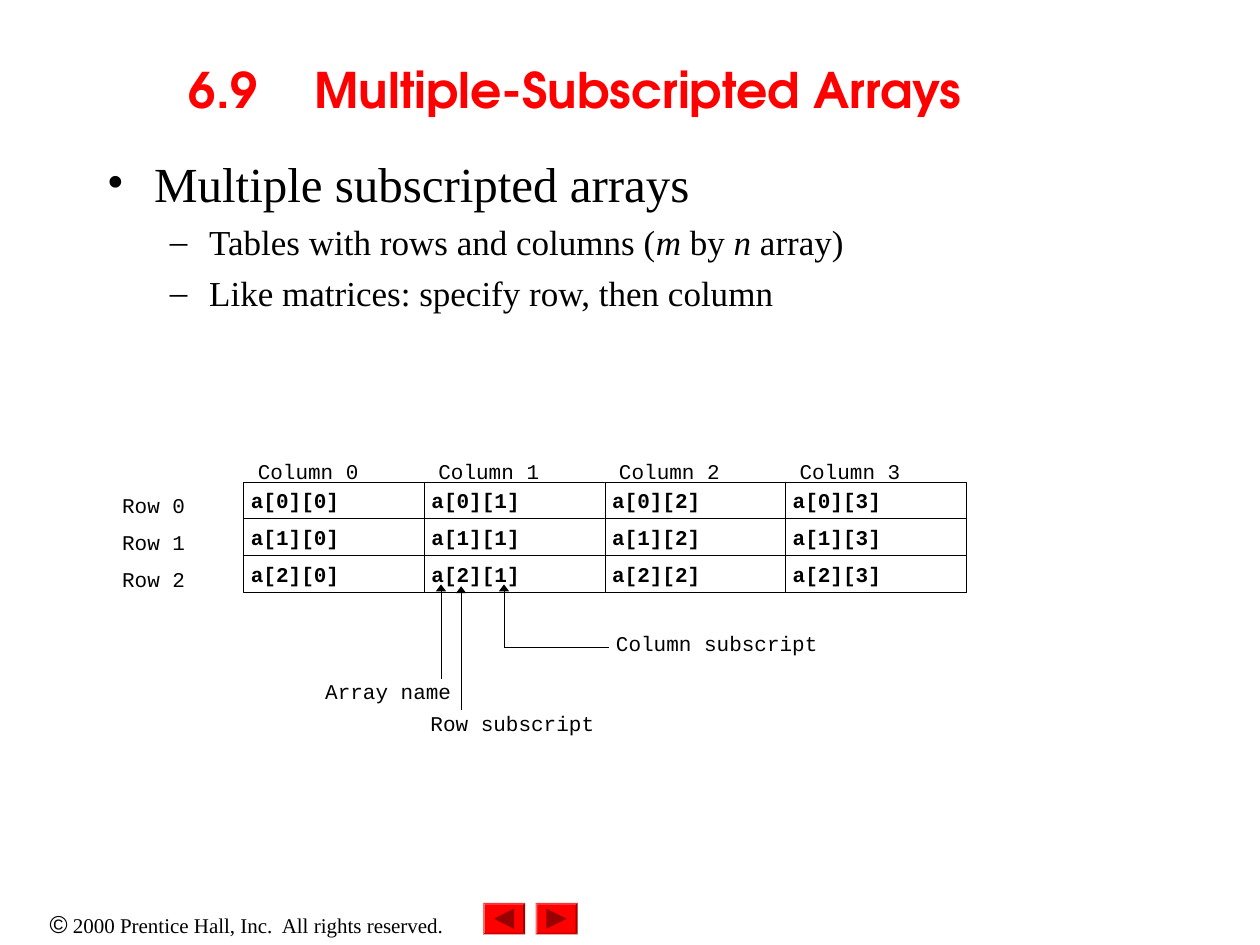
"""Build the slide on multiple-subscripted arrays."""
from lxml import etree
from pptx import Presentation
from pptx.dml.color import RGBColor
from pptx.enum import shapes, text
from pptx.oxml import ns
from pptx.util import Pt

BLACK, WHITE, RED, DARK_RED = "000000", "FFFFFF", "FF0000", "990000"
SERIF, MONO = "Times New Roman", "Courier New"
ROWS, COLS = 3, 4
LEFT, TOP, CELL_W, CELL_H = 139.2, 275.3, 103.2, 21.1


def rgb(value):
    return RGBColor.from_string(value)


def child(parent, tag, **attrs):
    return etree.SubElement(parent, ns.qn(tag), attrs)


def set_font(font, name, size, color=BLACK, bold=False):
    font.name, font.size, font.bold = name, Pt(size), bold
    font.color.rgb = rgb(color)


def add_box(s, x, y, w, h, inset=(0, 0)):
    tf = s.shapes.add_textbox(Pt(x), Pt(y), Pt(w), Pt(h)).text_frame
    tf.word_wrap = True
    tf.margin_left = tf.margin_right = Pt(inset[0])
    tf.margin_top = tf.margin_bottom = Pt(inset[1])
    return tf


def add_label(s, wording, x, y, w, h=14.4, bold=False):
    p = add_box(s, x, y, w, h).paragraphs[0]
    p.text = wording
    set_font(p.font, MONO, 12, bold=bold)


def add_title(s, wording):
    tf = add_box(s, 54, 6, 612, 90, (7.2, 3.6))
    tf.vertical_anchor = text.MSO_ANCHOR.MIDDLE
    p = tf.paragraphs[0]
    p.alignment = text.PP_ALIGN.CENTER
    tabs = child(p._p.get_or_add_pPr(), "a:tabLst")
    for inch in range(8):
        child(tabs, "a:tab", pos=str(Pt(72 * inch)), algn="l")
    p.add_run().text = wording
    set_font(p.font, "TeX Gyre Adventor", 28, RED, True)


def add_bullet(p, runs, level, mark, size, margin, hang):
    p.level = level
    pPr = p._p.get_or_add_pPr()
    pPr.set("marL", str(Pt(margin)))
    pPr.set("indent", str(-Pt(hang)))
    child(child(pPr, "a:buClr"), "a:srgbClr", val=BLACK)
    child(pPr, "a:buFont", typeface=SERIF)
    child(pPr, "a:buChar", char=mark)
    for wording, italic in runs:
        r = p.add_run()
        r.text = wording
        if italic:
            r.font.italic = True
    set_font(p.font, SERIF, size)
    for r in p.runs:
        r.font.size = Pt(size)


def add_body(s):
    tf = add_box(s, 54, 84, 612, 426, (7.2, 3.6))
    add_bullet(tf.paragraphs[0], [("Multiple subscripted arrays", False)],
               0, "•", 28, 27, 27)
    points = [
        [("Tables with rows and columns (", False), ("m", True),
         (" by ", False), ("n", True), (" array)", False)],
        [("Like matrices: specify row, then column", False)],
    ]
    for runs in points:
        p = tf.add_paragraph()
        p.space_before = Pt(5)
        add_bullet(p, runs, 1, "–", 20, 58.5, 22.5)


def add_shape(s, kind, x, y, w, h, color, line=None):
    sp = s.shapes.add_shape(kind, Pt(x), Pt(y), Pt(w), Pt(h))
    sp.shadow.inherit = False
    sp.fill.solid()
    sp.fill.fore_color.rgb = rgb(color)
    if line:
        sp.line.color.rgb = rgb(line)
        sp.line.width = Pt(0.25)
    else:
        sp.line.fill.background()
    return sp


def add_array(s):
    for row in range(ROWS):
        add_label(s, f"Row {row}", 69.8, 281.5 + row * CELL_H, 56)
    for col in range(COLS):
        x = LEFT + col * CELL_W
        add_label(s, f"Column {col}", x + 8.1, 262, 87)
        for row in range(ROWS):
            y = TOP + row * CELL_H
            add_shape(s, shapes.MSO_SHAPE.RECTANGLE, x, y, CELL_W, CELL_H,
                      WHITE, BLACK)
            add_label(s, f"a[{row}][{col}]", x + 4.2, y + 3.2, 94.4, 16.6, True)


def add_line(s, x1, y1, x2, y2, arrow=True):
    sp = s.shapes.add_connector(shapes.MSO_CONNECTOR.STRAIGHT,
                                Pt(x1), Pt(y1), Pt(x2), Pt(y2))
    sp.line.color.rgb = rgb(BLACK)
    sp.line.width = Pt(0.25)
    if arrow:
        child(sp.line._get_or_add_ln(), "a:headEnd",
              type="triangle", w="med", len="sm")
    child(sp._element.spPr, "a:effectLst")


def add_callouts(s):
    add_label(s, "Row subscript", 246, 406, 139)
    add_label(s, "Array name", 185.8, 388, 107)
    add_label(s, "Column subscript", 352, 360.3, 169)
    add_line(s, 252, 334, 252, 388)
    add_line(s, 263.5, 335, 263.5, 406)
    add_line(s, 288, 334, 288, 370)
    add_line(s, 348, 370, 288, 370, arrow=False)


def add_button(s, x, rotation):
    kinds = shapes.MSO_SHAPE
    add_shape(s, kinds.BEVEL, x, 516, 24, 18, RED).adjustments[0] = 0.06
    sp = add_shape(s, kinds.ISOSCELES_TRIANGLE, x + 6.2, 519.2, 11.6, 11.6, DARK_RED)
    sp.rotation = rotation


def add_footer(s):
    p = add_box(s, 0, 516, 282, 24.5, (7.2, 3.6)).paragraphs[0]
    p.alignment = text.PP_ALIGN.CENTER
    for wording, name, size in (
            ("©", "Arial", 14),
            (" 2000 Prentice Hall, Inc.  All rights reserved.", SERIF, 12)):
        r = p.add_run()
        r.text = wording
        set_font(r.font, name, size)


def main():
    prs = Presentation()
    prs.slide_width, prs.slide_height = Pt(720), Pt(540)
    s = prs.slides.add_slide(prs.slide_layouts[6])
    add_footer(s)
    add_button(s, 306, 90)
    add_button(s, 276, 270)
    add_title(s, "6.9\tMultiple-Subscripted Arrays\t")
    add_body(s)
    add_array(s)
    add_callouts(s)
    prs.save("out.pptx")


if __name__ == "__main__":
    main()
